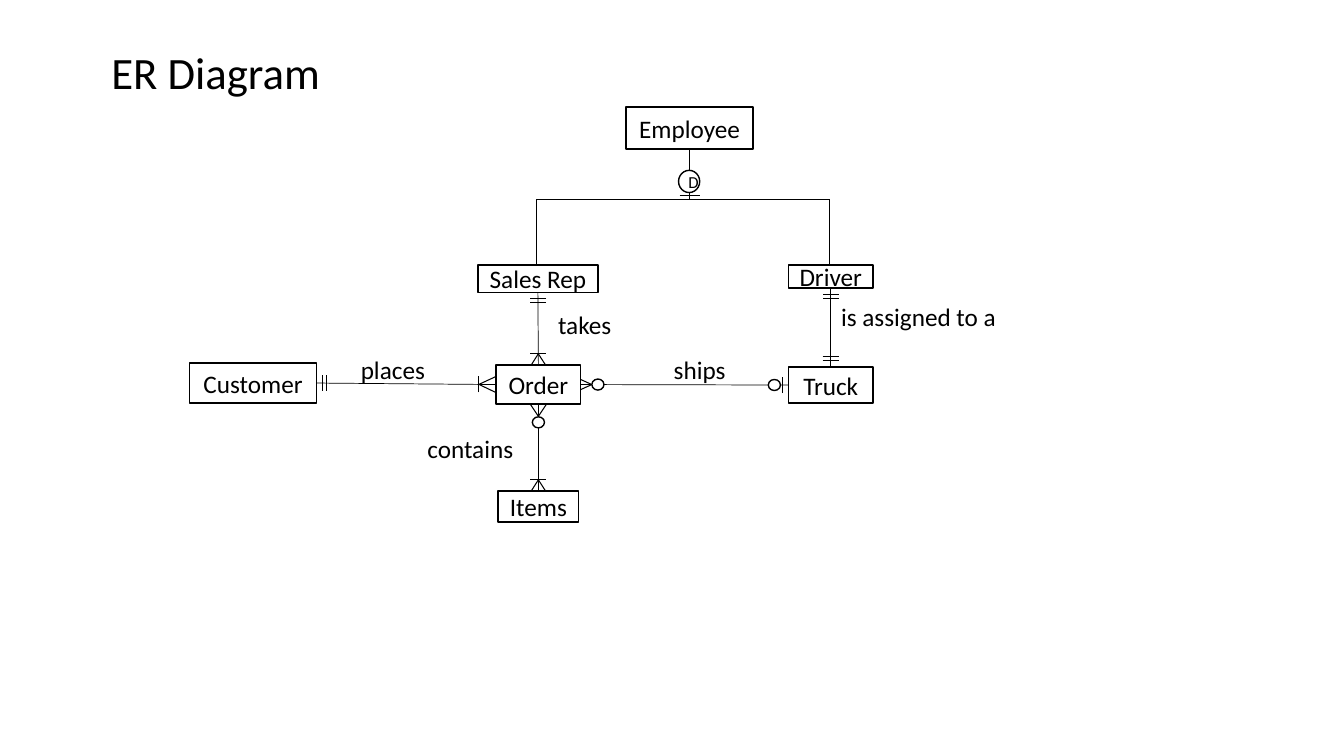
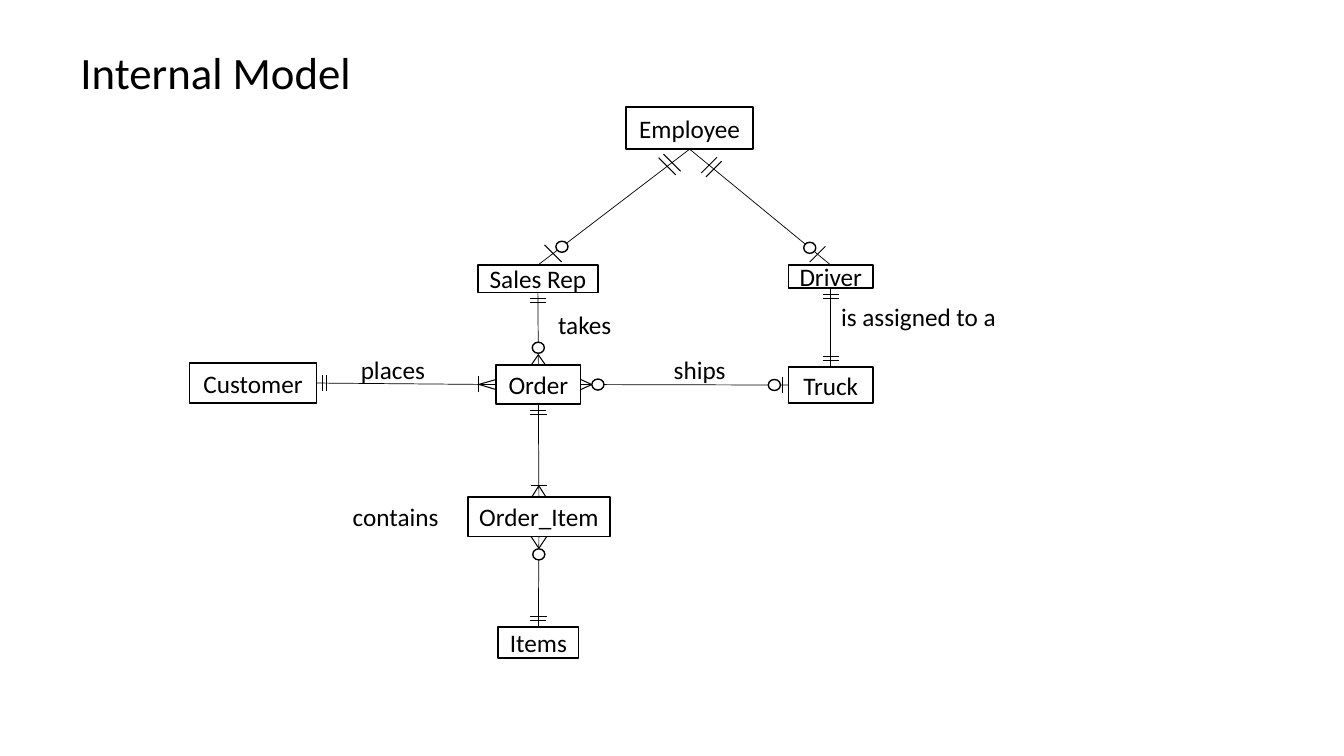
from math import hypot

from lxml import etree
from pptx import Presentation
from pptx.dml.color import RGBColor
from pptx.enum.shapes import MSO_CONNECTOR, MSO_SHAPE
from pptx.enum.text import MSO_ANCHOR, PP_ALIGN
from pptx.oxml.ns import qn
from pptx.util import Emu, Pt

PX = 9144  # EMU; 100 px to the inch
RECT, OVAL = MSO_SHAPE.RECTANGLE, MSO_SHAPE.OVAL
STRAIGHT = MSO_CONNECTOR.STRAIGHT
LEFT, CENTER = PP_ALIGN.LEFT, PP_ALIGN.CENTER
TOP, MIDDLE = MSO_ANCHOR.TOP, MSO_ANCHOR.MIDDLE

COLORS = {"ink": "000000", "paper": "FFFFFF"}
FONT = "Calibri"
TITLE_BOX = (33, 45, 362, 88)
RING_W, RING_H = 12, 11
LINK_PT, MARK_PT, OUTLINE_PT = 0.5, 0.75, 1

# Cardinality marks: kind, distance from the entity, half width
ONE = [("bar", 6, 8), ("bar", 10, 8)]
ONE_TO_REP = [("bar", 22, 12), ("bar", 28, 12)]
ONE_TO_DRIVER = [("bar", 25, 11), ("bar", 31, 11)]
REP_OPTIONAL = [("bar", 19, 12), ("ring", 30, 0)]
DRIVER_OPTIONAL = [("bar", 17, 11), ("ring", 27, 0)]
TRUCK_OPTIONAL = [("bar", 6, 8), ("ring", 14, 0)]
MANY = [("bar", 11, 8), ("crow", 11, 7)]
MANY_WIDE = [("bar", 17, 8), ("crow", 17, 8)]
MANY_NARROW = [("bar", 17, 8), ("crow", 17, 5)]
MANY_OPTIONAL = [("crow", 11, 5), ("ring", 17, 0)]
MANY_OPTIONAL_TOP = [("crow", 10, 7), ("ring", 17, 0)]
MANY_OPTIONAL_BELOW = [("crow", 12, 8), ("ring", 18, 0)]

ENTITIES = {
    "Order": (492, 362, 84, 39),
    "Sales Rep": (474, 263, 119, 27),
    "Employee": (621, 106, 126, 42),
    "Driver": (782, 263, 84, 23),
    "Truck": (782, 364, 84, 36),
    "Customer": (188, 360, 126, 40),
}
LABELS = [
    ("takes", (543, 302, 74, 40), CENTER),
    ("is assigned to a", (824, 294, 174, 40), CENTER),
    ("ships", (646, 347, 96, 40), CENTER),
    ("places", (348, 347, 105, 40), LEFT),
]
RELATIONS = [
    ("Driver", "bottom", ONE, "Truck", "top", ONE),
    ("Order", "right", MANY_OPTIONAL, "Truck", "left", TRUCK_OPTIONAL),
]
SLIDES = [
    {
        "title": "ER Diagram",
        "entities": {"Items": (494, 487, 80, 31)},
        "labels": [("contains", (414, 425, 121, 40), LEFT)],
        "relations": [
            ("Sales Rep", "bottom", ONE, "Order", "top", MANY),
            ("Customer", "right", ONE, "Order", "left", MANY_WIDE),
            ("Order", "bottom", MANY_OPTIONAL_BELOW, "Items", "top", MANY),
        ],
        "subtypes": True,
    },
    {
        "title": "Internal Model",
        "entities": {
            "Order_Item": (464, 493, 141, 39),
            "Items": (494, 622, 80, 31),
        },
        "labels": [("contains", (340, 492, 121, 40), LEFT)],
        "relations": [
            ("Sales Rep", "bottom", ONE, "Order", "top", MANY_OPTIONAL_TOP),
            ("Customer", "right", ONE, "Order", "left", MANY_NARROW),
            ("Order", "bottom", ONE, "Order_Item", "top", MANY),
            ("Order_Item", "bottom", MANY_OPTIONAL_BELOW, "Items", "top", ONE),
            ("Employee", "bottom", ONE_TO_REP, "Sales Rep", "top", REP_OPTIONAL),
            ("Employee", "bottom", ONE_TO_DRIVER, "Driver", "top", DRIVER_OPTIONAL),
        ],
        "subtypes": False,
    },
]
SUBTYPE_LINES = [
    ((684, 148), (684, 198), LINK_PT),
    ((532, 198), (823, 198), LINK_PT),
    ((532, 198), (532, 262), LINK_PT),
    ((823, 198), (823, 262), LINK_PT),
    ((674, 194), (694, 194), MARK_PT),
]
SUBTYPE_RING = (673, 169, 21, 22)
SUBTYPE_LABEL = ("D", (673, 165, 21, 30))


def emu(values):
    return [Emu(round(v * PX)) for v in values]


def color(name):
    return RGBColor.from_string(COLORS[name])


def add_line(s, start, end, width):
    line = s.shapes.add_connector(STRAIGHT, *emu((*start, *end)))
    line.line.color.rgb = color("ink")
    line.line.width = Pt(width)
    etree.SubElement(line._element.spPr, qn("a:effectLst"))


def add_outline(s, preset, box):
    sp = s.shapes.add_shape(preset, *emu(box))
    sp.shadow.inherit = False
    sp.fill.solid()
    sp.fill.fore_color.rgb = color("paper")
    sp.line.color.rgb = color("ink")
    sp.line.width = Pt(OUTLINE_PT)
    return sp


def write(sp, text, size=18, align=CENTER, anchor=TOP, wrap=True, spacing=1.0):
    tf = sp.text_frame
    tf.word_wrap, tf.vertical_anchor = wrap, anchor
    p = tf.paragraphs[0]
    p.alignment, p.line_spacing = align, spacing
    r = p.add_run()
    r.text = text
    for name, value in {"name": FONT, "size": Pt(size)}.items():
        setattr(r.font, name, value)
    r.font.color.rgb = color("ink")


def add_text(s, text, box, **style):
    write(s.shapes.add_textbox(*emu(box)), text, **style)


def side_point(box, side):
    x, y, w, h = box
    return {
        "left": (x, y + h / 2),
        "right": (x + w, y + h / 2),
        "top": (x + w / 2, y),
        "bottom": (x + w / 2, y + h),
    }[side]


def add_marks(s, end, other, marks):
    """Draw marks along the link; bars snap to the nearest 45 degrees."""
    x, y = end
    dx, dy = other[0] - x, other[1] - y
    length = hypot(dx, dy)
    ux, uy = dx / length, dy / length
    nx, ny = round(-uy), round(ux)
    norm = hypot(nx, ny)
    for kind, distance, half in marks:
        cx, cy = x + ux * distance, y + uy * distance
        ox, oy = nx / norm * half, ny / norm * half
        if kind == "ring":
            box = (cx - RING_W / 2, cy - RING_H / 2, RING_W, RING_H)
            add_outline(s, OVAL, box)
        elif kind == "bar":
            add_line(s, (cx - ox, cy - oy), (cx + ox, cy + oy), MARK_PT)
        else:
            for sign in (-1, 1):
                toe = (x + sign * ox, y + sign * oy)
                add_line(s, (cx, cy), toe, MARK_PT)


def add_relation(s, entities, relation):
    name_a, side_a, marks_a, name_b, side_b, marks_b = relation
    a = side_point(entities[name_a], side_a)
    b = side_point(entities[name_b], side_b)
    add_line(s, a, b, LINK_PT)
    add_marks(s, a, b, marks_a)
    add_marks(s, b, a, marks_b)


def add_subtypes(s):
    for start, end, width in SUBTYPE_LINES:
        add_line(s, start, end, width)
    add_outline(s, OVAL, SUBTYPE_RING)
    add_text(s, *SUBTYPE_LABEL, size=12)


def build_slide(prs, data):
    s = prs.slides.add_slide(prs.slide_layouts[6])
    add_text(s, data["title"], TITLE_BOX, size=32, spacing=0.9)
    entities = {**ENTITIES, **data["entities"]}
    for relation in RELATIONS + data["relations"]:
        add_relation(s, entities, relation)
    if data["subtypes"]:
        add_subtypes(s)
    for name, box in entities.items():
        write(add_outline(s, RECT, box), name, anchor=MIDDLE, wrap=False)
    for text, box, align in LABELS + data["labels"]:
        add_text(s, text, box, align=align)


def main():
    prs = Presentation()
    prs.slide_width, prs.slide_height = emu((1333, 750))
    for data in SLIDES:
        build_slide(prs, data)
    prs.save("out.pptx")


if __name__ == "__main__":
    main()
